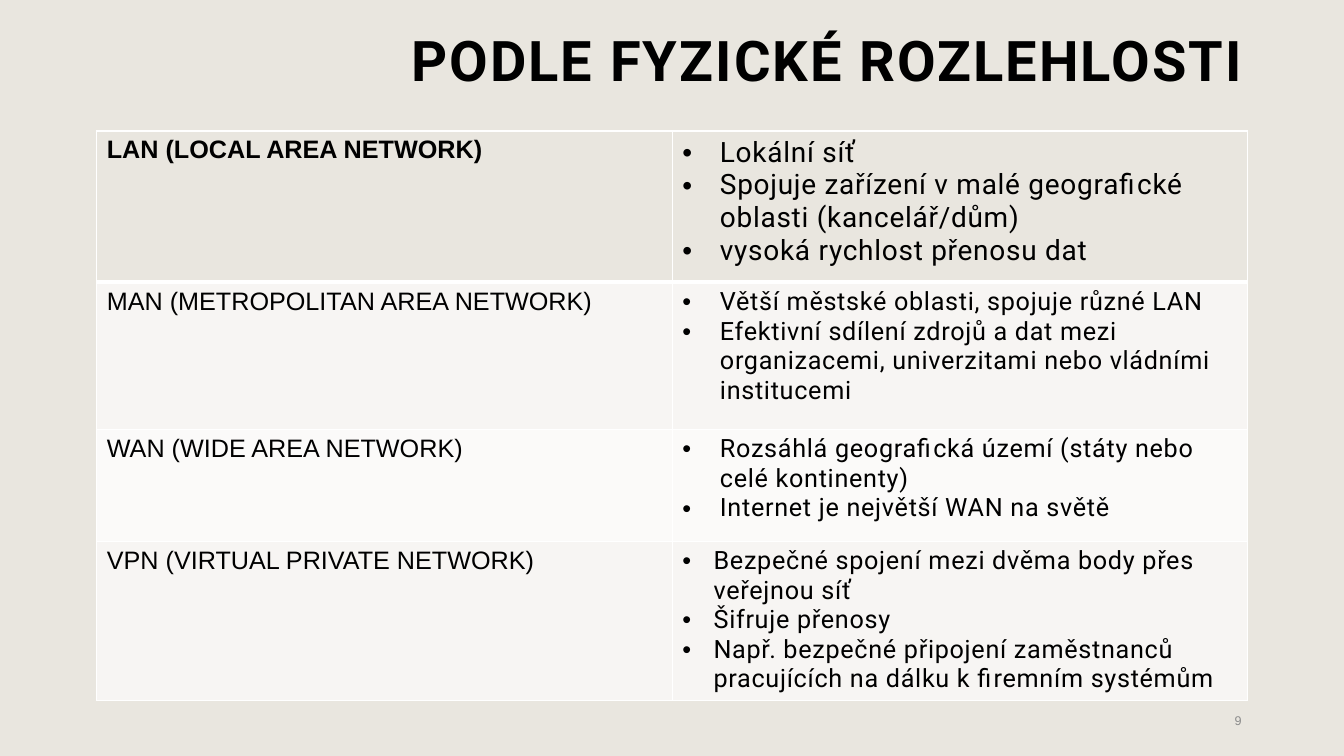
from lxml import etree
from pptx import Presentation
from pptx.dml.color import RGBColor
from pptx.enum.text import MSO_ANCHOR, MSO_AUTO_SIZE, PP_ALIGN
from pptx.oxml.ns import qn
from pptx.util import Cm, Pt

RIGHT = PP_ALIGN.RIGHT
LEFT = PP_ALIGN.LEFT
BOTTOM = MSO_ANCHOR.BOTTOM
MIDDLE = MSO_ANCHOR.MIDDLE
NO_FIT = MSO_AUTO_SIZE.NONE

COLORS = {
    "sand": "E9E6DF",
    "band": "F7F5F3",
    "pale": "FBFAF9",
    "line": "FFFFFF",
    "ink": "000000",
    "gray": "8C8C8C",
}

ROWS = [
    {"name": "LAN (LOCAL AREA NETWORK)", "high": 3.81, "fill": "sand", "size": 20, "indent": 0.95,
     "items": ["Lokální síť",
               "Spojuje zařízení v malé geografické oblasti (kancelář/dům)",
               "vysoká rychlost přenosu dat"]},
    {"name": "MAN (METROPOLITAN AREA NETWORK)", "high": 3.71, "fill": "band", "size": 18, "indent": 0.95,
     "items": ["Větší městské oblasti, spojuje různé LAN",
               "Efektivní sdílení zdrojů a dat mezi organizacemi, univerzitami nebo vládními institucemi"]},
    {"name": "WAN (WIDE AREA NETWORK)", "high": 2.82, "fill": "pale", "size": 18, "indent": 0.95,
     "items": ["Rozsáhlá geografická území (státy nebo celé kontinenty)",
               "Internet je největší WAN na světě"]},
    {"name": "VPN (VIRTUAL PRIVATE NETWORK)", "high": 4.01, "fill": "band", "size": 18, "indent": 0.79,
     "items": ["Bezpečné spojení mezi dvěma body přes veřejnou síť",
               "Šifruje přenosy",
               "Např. bezpečné připojení zaměstnanců pracujících na dálku k firemním systémům"]},
]


def rgb(key):
    """Return the named colour."""
    return RGBColor.from_string(COLORS[key])


def add_bullet(para, indent):
    """Give a paragraph a round bullet and a hanging indent in centimetres."""
    props = para._p.get_or_add_pPr()
    props.set("marL", str(Cm(indent)))
    props.set("indent", str(-Cm(indent)))
    etree.SubElement(props, qn("a:buFont")).set("typeface", "Arial")
    etree.SubElement(props, qn("a:buChar")).set("char", "•")


def write(frame, lines, font="Roboto", size=18, color="ink", bold=False,
          track=0, align=LEFT, indent=None, lead=None, after=None):
    """Fill a text frame with one formatted paragraph per line."""
    frame.word_wrap = True
    for i, line in enumerate(lines):
        para = frame.paragraphs[0] if i == 0 else frame.add_paragraph()
        if indent:
            add_bullet(para, indent)
        para.alignment = align
        if lead:
            para.line_spacing = lead
        if after:
            para.space_after = Pt(after)
        run = para.add_run()
        run.text = line
        run.font.name = font
        run.font.size = Pt(size)
        run.font.bold = bold
        run.font.color.rgb = rgb(color)
        run._r.get_or_add_rPr().set("spc", str(int(track * 100)))


def add_edges(cell, top, base):
    """Draw the four cell borders, with top and base widths in points."""
    props = cell._tc.get_or_add_tcPr()
    edges = [("L", 1), ("R", 1), ("T", top), ("B", base)]
    for i, (side, width) in enumerate(edges):
        line = etree.Element(qn(f"a:ln{side}"), w=str(Pt(width)))
        fill = etree.SubElement(line, qn("a:solidFill"))
        etree.SubElement(fill, qn("a:srgbClr")).set("val", COLORS["line"])
        props.insert(i, line)


def add_title(slide, left, top, width, height):
    """Place the heading in the title placeholder."""
    title = slide.shapes.title
    title.left, title.top = Cm(left), Cm(top)
    title.width, title.height = Cm(width), Cm(height)
    frame = title.text_frame
    frame.auto_size = NO_FIT
    frame.vertical_anchor = BOTTOM
    write(frame, ["PODLE FYZICKÉ ROZLEHLOSTI"], size=40, bold=True,
          track=1.5, align=RIGHT, lead=0.9)


def add_grid(slide, left, top, width):
    """Place the table of network types."""
    high = sum(row["high"] for row in ROWS)
    table = slide.shapes.add_table(len(ROWS), 2, Cm(left), Cm(top), Cm(width), Cm(high)).table
    for i, row in enumerate(ROWS):
        table.rows[i].height = Cm(row["high"])
        name, items = table.cell(i, 0), table.cell(i, 1)
        for cell in (name, items):
            cell.fill.solid()
            cell.fill.fore_color.rgb = rgb(row["fill"])
            add_edges(cell, 3 if i == 1 else 1, 3 if i == 0 else 1)
        write(name.text_frame, [row["name"]], font="Arial", bold=i == 0)
        write(items.text_frame, row["items"], size=row["size"],
              track=0.5, indent=row["indent"])


def add_page(slide, left, top, width, height):
    """Place the page number."""
    box = slide.shapes.add_textbox(Cm(left), Cm(top), Cm(width), Cm(height))
    box.text_frame.vertical_anchor = MIDDLE
    write(box.text_frame, ["9"], font="Arial", size=9, color="gray", align=RIGHT, after=6)


def main():
    """Build and save the slide."""
    deck = Presentation()
    deck.slide_width, deck.slide_height = Cm(33.87), Cm(19.05)
    slide = deck.slides.add_slide(deck.slide_layouts.get_by_name("Title Only"))
    slide.background.fill.solid()
    slide.background.fill.fore_color.rgb = rgb("sand")
    add_title(slide, 3.84, 0.86, 27.74, 1.63)
    add_grid(slide, 2.44, 3.3, 29)
    add_page(slide, 28.8, 17.65, 2.74, 1.02)
    deck.save("out.pptx")


if __name__ == "__main__":
    main()
